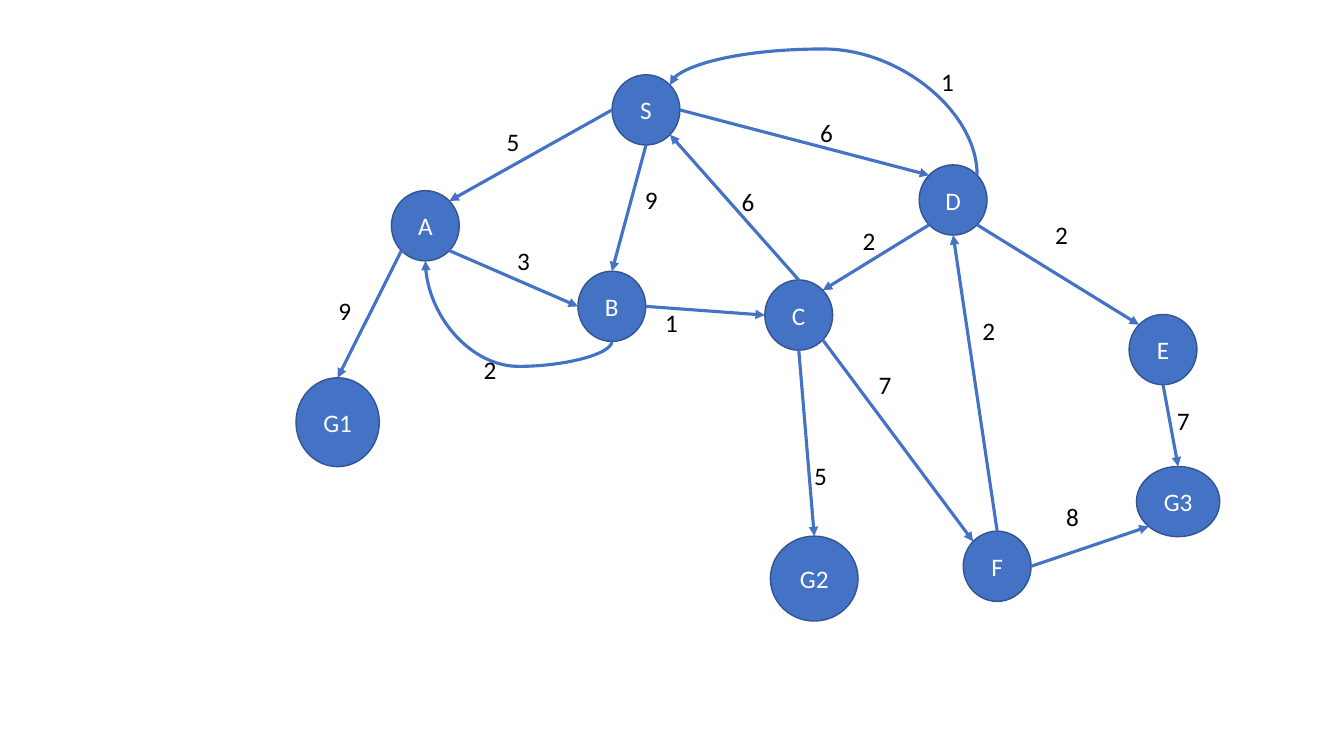
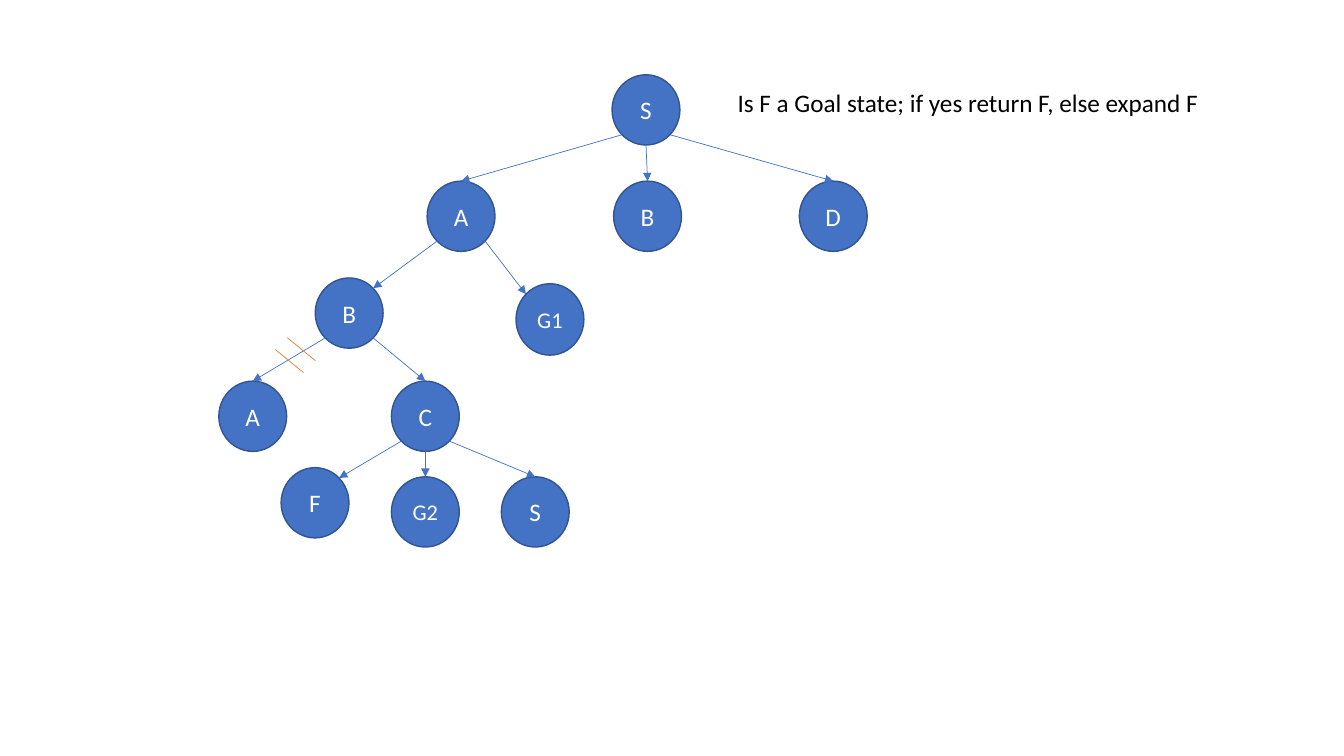
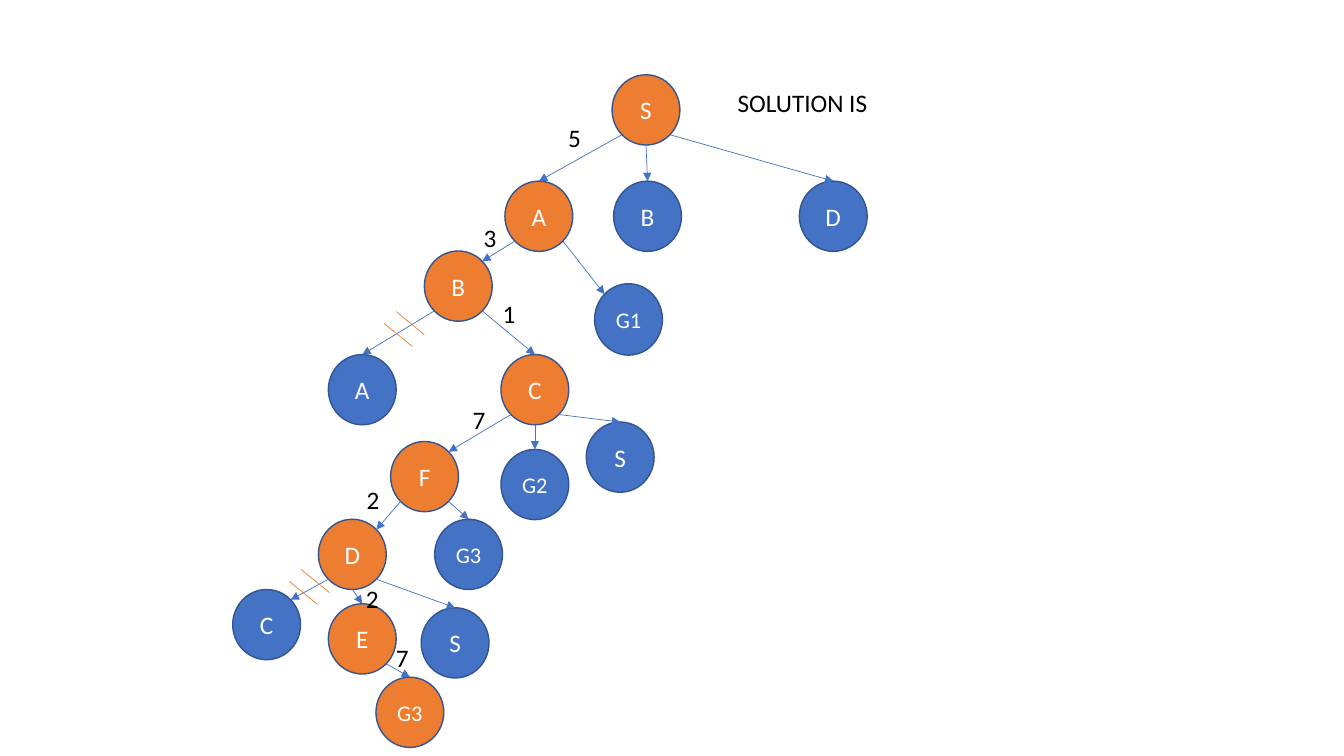
import math

import lxml.etree
import pptx
import pptx.dml.color
import pptx.enum.shapes
import pptx.enum.text
import pptx.oxml
import pptx.oxml.ns
import pptx.util

Cm = pptx.util.Cm
Pt = pptx.util.Pt
qn = pptx.oxml.ns.qn
RGB = pptx.dml.color.RGBColor.from_string
KIND = pptx.enum.shapes.MSO_CONNECTOR
ALIGN = pptx.enum.text.PP_ALIGN
FIT = pptx.enum.text.MSO_AUTO_SIZE

INK = {"blue": "4472C4", "edge": "325491", "orange": "ED7D31",
       "white": "FFFFFF", "black": "000000"}
FONT = "Calibri"
SIZE = (1.71, 1.77)  # usual node width and height
TAG = (1.12, 1.02)   # cost label width and height
NOTE = (18.34, 2.08, 14.91, 1.02)
SITES = ["n", "nw", "w", "sw", "s", "se", "e", "ne"]  # ellipse glue points


def write(frame, text, size=18, ink="black", align=None):
    """Put one formatted line of text in a frame."""
    frame.word_wrap = True
    para = frame.paragraphs[0]
    para.alignment = align
    run = para.add_run()
    run.text = text
    run.font.name = FONT
    run.font.size = Pt(size)
    run.font.color.rgb = RGB(INK[ink])


def draw(slide, start, end, ink="blue", width=0.5, arrow=True, bend=None):
    """Draw a line between two points in cm; bend makes it a curve."""
    kind = KIND.STRAIGHT if bend is None else KIND.CURVE
    line = slide.shapes.add_connector(kind, *[Cm(v) for v in start + end])
    line.line.color.rgb = RGB(INK[ink])
    line.line.width = Pt(width)
    props = line._element.spPr
    if arrow:
        lxml.etree.SubElement(props.find(qn("a:ln")), qn("a:tailEnd"), type="triangle")
    lxml.etree.SubElement(props, qn("a:effectLst"))
    if bend is not None:
        # Curve leaves vertically: turn the box a quarter about its centre
        wide, high = abs(end[1] - start[1]), abs(end[0] - start[0])
        line.left = Cm((start[0] + end[0] - wide) / 2)
        line.top = Cm((start[1] + end[1] - high) / 2)
        line.width, line.height = Cm(wide), Cm(high)
        form = props.find(qn("a:xfrm"))
        form.attrib.pop("flipH", None)
        form.set("rot", "16200000")
        form.set("flipV", "1")
        guides = props.find(qn("a:prstGeom")).find(qn("a:avLst"))
        lxml.etree.SubElement(guides, qn("a:gd"), name="adj1",
                              fmla=f"val {round(bend * 100000)}")
    return line


# Nodes: name -> centre x, y and, where unusual, width, height.
# Primes tell apart nodes that show the same letter.
# Edges: from, site, to, site and, where shown, cost, label left, top, bend.
graph = {
    "nodes": {
        "S": (16.28, 2.77), "A": (10.72, 5.69), "B": (15.42, 7.72),
        "C": (20.13, 7.94), "D": (24.02, 5.04), "E": (29.31, 8.81),
        "G3": (29.69, 12.64, 2.1, 1.77), "F": (25.13, 14.27),
        "G2": (20.52, 14.58, 2.21, 2.14), "G1": (8.51, 10.64, 2.1, 2.24),
    },
    "edges": [
        ("S", "w", "A", "ne", "5", 12.52, 3.07),
        ("S", "s", "B", "n", "9", 16.0, 4.52),
        ("S", "e", "D", "nw", "6", 20.42, 2.82),
        ("C", "n", "S", "se", "6", 18.44, 4.57),
        ("A", "sw", "G1", "n", "9", 8.28, 7.32),
        ("A", "se", "B", "w", "3", 12.78, 6.05),
        ("B", "e", "C", "w", "1", 16.51, 7.62),
        ("D", "se", "E", "nw", "2", 26.34, 5.41),
        ("E", "s", "G3", "n", "7", 29.41, 10.08),
        ("F", "e", "G3", "sw", "8", 26.62, 12.5),
        ("C", "se", "F", "nw", "7", 21.89, 9.17),
        ("C", "s", "G2", "n", "5", 20.27, 11.48),
        ("F", "n", "D", "s", "2", 24.51, 7.82),
        ("D", "sw", "C", "ne", "2", 21.49, 5.56),
        ("D", "ne", "S", "ne", "1", 23.47, 1.55, 1.4),
        ("B", "s", "A", "s", "2", 11.94, 8.81, -0.31),
    ],
    "width": 2.25, "small": 18,
}
search = {
    "nodes": {
        "S": (16.28, 2.77), "A": (11.62, 5.45), "B": (16.32, 5.45),
        "D": (21.0, 5.45), "B'": (8.8, 7.89), "G1": (13.86, 8.05, 1.71, 1.8),
        "A'": (6.37, 10.49), "C": (10.72, 10.49), "F": (7.94, 12.67),
        "G2": (10.72, 12.9), "S'": (13.49, 12.9),
    },
    "edges": [
        ("S", "sw", "A", "n"), ("S", "s", "B", "n"), ("S", "se", "D", "n"),
        ("A", "sw", "B'", "ne"), ("A", "se", "G1", "nw"),
        ("B'", "se", "C", "n"), ("B'", "sw", "A'", "n"),
        ("C", "sw", "F", "ne"), ("C", "s", "G2", "n"), ("C", "se", "S'", "n"),
    ],
    "cuts": [(7.24, 8.51)],
    "note": "Is F a Goal state; if yes return F, else expand F",
}
answer = {
    "nodes": {
        "S": (16.28, 2.77), "A": (13.58, 5.45), "B": (16.32, 5.45),
        "D": (21.0, 5.45), "B'": (11.55, 7.21), "G1": (15.84, 8.05, 1.71, 1.8),
        "A'": (9.13, 9.82), "C": (13.48, 9.82), "F": (10.7, 12.01),
        "G2": (13.48, 12.21), "S'": (15.63, 11.52), "D'": (8.88, 13.97),
        "G3": (11.81, 13.97), "C'": (6.72, 15.74), "E": (9.13, 16.1),
        "S''": (11.47, 16.2), "G3'": (10.33, 17.95),
    },
    "edges": [
        ("S", "sw", "A", "n", "5", 14.07, 2.95),
        ("S", "s", "B", "n"), ("S", "se", "D", "n"),
        ("A", "sw", "B'", "ne", "3", 11.94, 5.49),
        ("A", "se", "G1", "nw"),
        ("B'", "se", "C", "n", "1", 12.42, 7.39),
        ("B'", "sw", "A'", "n"),
        ("C", "sw", "F", "ne", "7", 11.66, 10.06),
        ("C", "s", "G2", "n"), ("C", "se", "S'", "n"),
        ("F", "sw", "D'", "ne", "2", 8.99, 12.09),
        ("F", "se", "G3", "n"), ("D'", "sw", "C'", "ne"),
        ("D'", "s", "E", "n", "2", 8.97, 14.58),
        ("D'", "se", "S''", "n"),
        ("E", "se", "G3'", "n", "7", 9.73, 16.05),
    ],
    "cuts": [(9.98, 7.85), (7.59, 14.35)],
    "goal": ["S", "A", "B'", "C", "F", "D'", "E", "G3'"],
    "note": "SOLUTION IS",
}

deck = pptx.Presentation()
deck.slide_width, deck.slide_height = Cm(33.87), Cm(19.05)

for plan in (graph, search, answer):
    slide = deck.slides.add_slide(deck.slide_layouts[6])

    # Nodes, with the points where edges meet them
    ids, spots = {}, {}
    for name, (x, y, *dims) in plan["nodes"].items():
        wide, high = dims or SIZE
        node = slide.shapes.add_shape(
            pptx.enum.shapes.MSO_SHAPE.OVAL,
            Cm(x - wide / 2), Cm(y - high / 2), Cm(wide), Cm(high))
        node.shadow.inherit = False
        node.fill.solid()
        hue = "orange" if name in plan.get("goal", []) else "blue"
        node.fill.fore_color.rgb = RGB(INK[hue])
        node.line.color.rgb = RGB(INK["edge"])
        node.line.width = Pt(1)
        label = name.rstrip("'")
        write(node.text_frame, label, ink="white", align=ALIGN.CENTER,
              size=plan.get("small", 16) if len(label) > 1 else 18)
        ids[name] = node.shape_id
        for i, site in enumerate(SITES):
            turn = i * math.pi / 4
            spots[name, site] = (x - wide / 2 * math.sin(turn),
                                 y - high / 2 * math.cos(turn))

    # Edges, glued to their nodes
    texts = []
    for head, out, tail, into, *tag in plan["edges"]:
        line = draw(slide, spots[head, out], spots[tail, into],
                    width=plan.get("width", 0.5),
                    bend=tag[3] if len(tag) > 3 else None)
        glue = line._element.nvCxnSpPr.cNvCxnSpPr
        for end, name, site in (("a:stCxn", head, out), ("a:endCxn", tail, into)):
            lxml.etree.SubElement(glue, qn(end), id=str(ids[name]),
                                  idx=str(SITES.index(site)))
        if tag:
            texts.append((tag[0], (*tag[1:3], *TAG)))

    # Double strokes across pruned edges
    for x, y in plan.get("cuts", []):
        for step in (0, 0.3):
            draw(slide, (x - step, y + step), (x - step + 0.71, y + step + 0.58),
                 ink="orange", arrow=False)

    # Costs and the note
    if "note" in plan:
        texts.append((plan["note"], NOTE))
    for text, area in texts:
        box = slide.shapes.add_textbox(*[Cm(v) for v in area])
        write(box.text_frame, text)
        box.text_frame.auto_size = FIT.SHAPE_TO_FIT_TEXT

deck.save("out.pptx")
